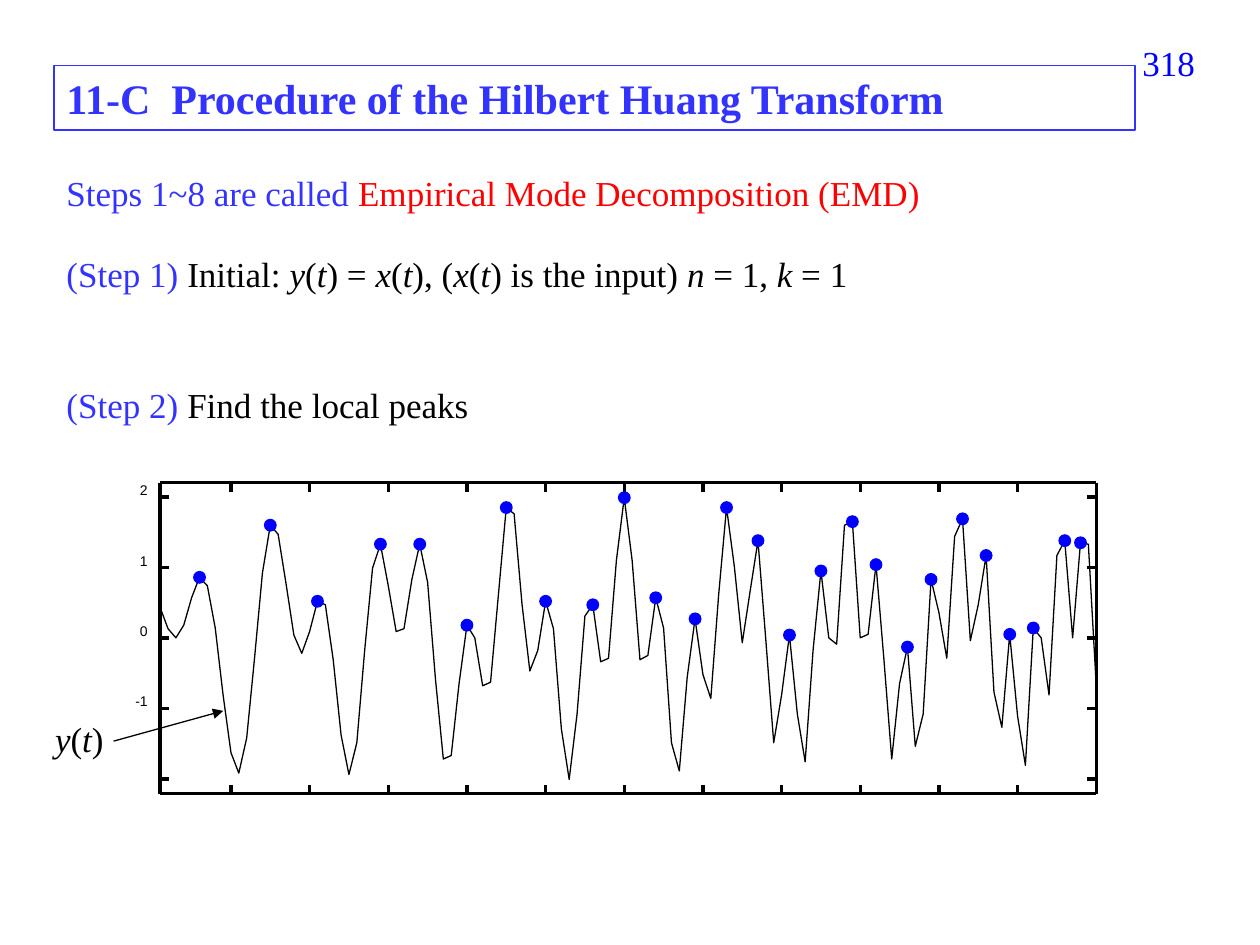
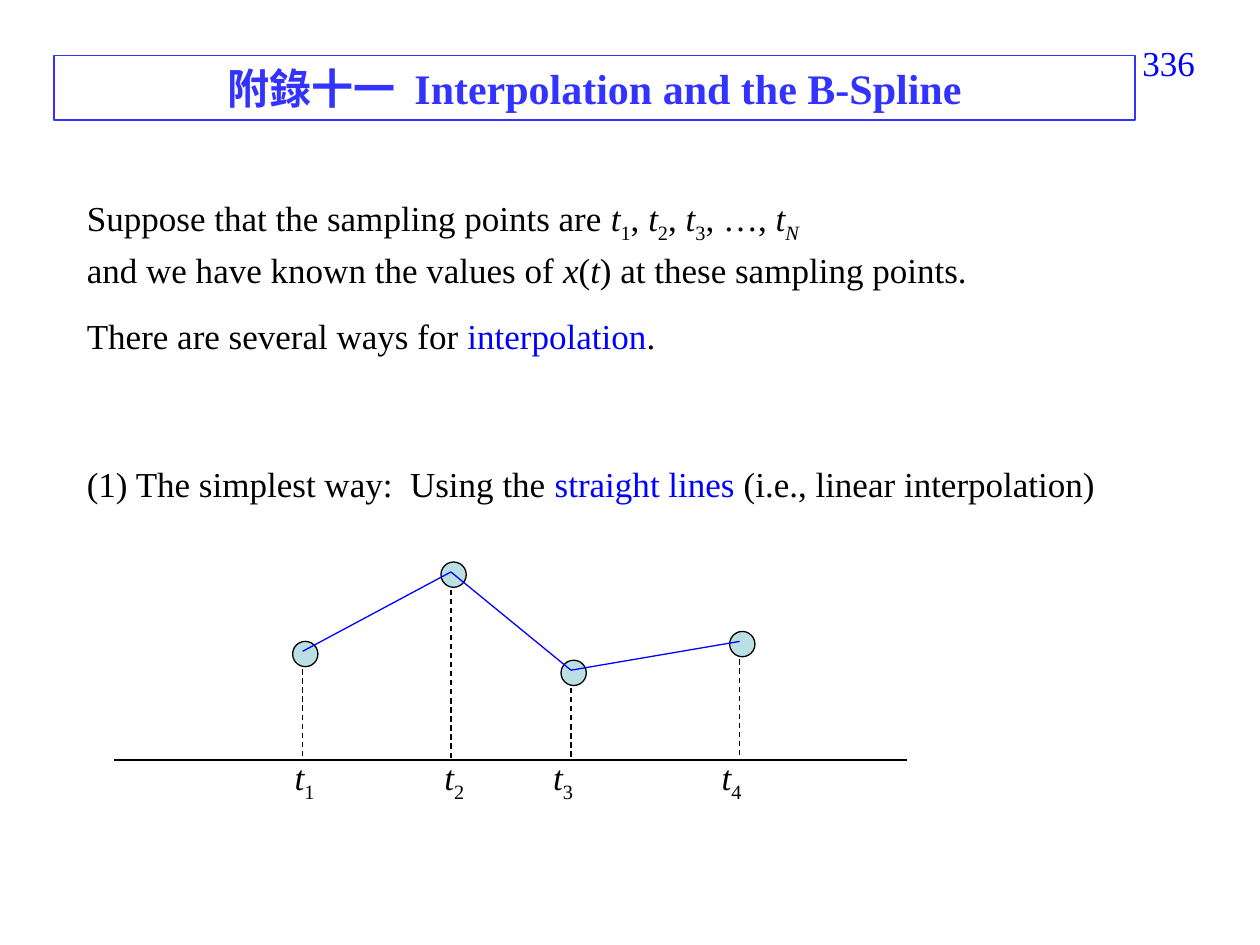
import lxml.etree
import pptx
import pptx.dml.color
import pptx.enum.dml
import pptx.enum.shapes
import pptx.enum.text
import pptx.oxml.ns
import pptx.util

Cm = pptx.util.Cm
Pt = pptx.util.Pt
RGBColor = pptx.dml.color.RGBColor
qn = pptx.oxml.ns.qn
ALIGN = pptx.enum.text.PP_ALIGN
ANCHOR = pptx.enum.text.MSO_ANCHOR
SHAPE = pptx.enum.shapes.MSO_SHAPE

INDIGO = RGBColor(0x33, 0x33, 0xFF)
BLUE = RGBColor(0x00, 0x00, 0xFF)
RED = RGBColor(0xFF, 0x00, 0x00)
BLACK = RGBColor(0x00, 0x00, 0x00)
PALE_TEAL = RGBColor(0xBB, 0xE0, 0xE3)

SERIF = "Times New Roman"
SANS = "Arial"
HAIRLINE = 0
THIN = 0.75

# Samples of y(t), ten per row
SIGNAL = [
    0.43, 0.13, 0, 0.18, 0.57, 0.86, 0.74, 0.14, -0.81, -1.63,
    -1.92, -1.42, -0.29, 0.92, 1.6, 1.47, 0.77, 0.04, -0.22, 0.09,
    0.52, 0.47, -0.31, -1.38, -1.94, -1.49, -0.18, 0.99, 1.33, 0.74,
    0.09, 0.13, 0.83, 1.33, 0.79, -0.59, -1.72, -1.67, -0.65, 0.18,
    0, -0.68, -0.63, 0.61, 1.85, 1.76, 0.48, -0.47, -0.18, 0.52,
    0.13, -1.29, -2.01, -1.08, 0.31, 0.47, -0.34, -0.29, 1.1, 1.99,
    1.1, -0.31, -0.25, 0.57, 0.14, -1.49, -1.89, -0.56, 0.27, -0.52,
    -0.86, 0.61, 1.85, 1.01, -0.07, 0.66, 1.38, -0.04, -1.49, -0.81,
    0.04, -1.08, -1.76, -0.18, 0.95, 0, -0.09, 1.6, 1.65, 0,
    0.05, 1.04, -0.29, -1.72, -0.65, -0.13, -1.54, -1.08, 0.83, 0.36,
    -0.29, 1.44, 1.69, -0.04, 0.47, 1.17, -0.77, -1.27, 0.05, -1.11,
    -1.81, 0.14, 0, -0.81, 1.17, 1.38, 0, 1.35, 1.33, -0.68,
]


def set_all(target, values):
    for name, value in values.items():
        setattr(target, name, value)


def italic(text):
    return text, {"italic": True}


def sub(text, **style):
    return text, {"baseline": -25000, **style}


def colored(text, color):
    return text, {"color": color}


class Deck:
    """Holds the presentation, the text style and the current slide."""

    style = {"name": SERIF, "size": Pt(20), "bold": False, "italic": False}

    def __init__(self):
        self.prs = pptx.Presentation()
        set_all(self.prs, {"slide_width": Cm(25.4), "slide_height": Cm(19.05)})

    def new_slide(self, number, title, top, align):
        self.s = self.prs.slides.add_slide(self.prs.slide_layouts[1])
        sp = self.s.shapes.title
        self.place(sp, 1.09, top, 21.79, 1.3)
        sp.line.width = Pt(THIN)
        sp.line.color.rgb = INDIGO
        self.frame(sp.text_frame, ANCHOR.MIDDLE)
        self.fill_paragraph(sp.text_frame.paragraphs[0], [colored(title, INDIGO)],
                            {"alignment": align}, {"size": Pt(24), "bold": True})
        self.text([colored(number, BLUE)], 22.1, 0.71, 2.24, 1.32, ALIGN.RIGHT)

    def place(self, sp, left, top, width, height):
        set_all(sp, {"left": Cm(left), "top": Cm(top),
                     "width": Cm(width), "height": Cm(height)})

    def frame(self, tf, anchor=ANCHOR.TOP, side=0.25, edge=0.13):
        set_all(tf, {"word_wrap": True, "vertical_anchor": anchor,
                     "auto_size": pptx.enum.text.MSO_AUTO_SIZE.NONE,
                     "margin_left": Cm(side), "margin_right": Cm(side),
                     "margin_top": Cm(edge), "margin_bottom": Cm(edge)})

    def fill_paragraph(self, p, runs, layout, font=None):
        """Add runs, each text or (text, style); "\\n" breaks the line."""
        set_all(p, {"space_before": Pt(0), "line_spacing": 1.0, **layout})
        for run in runs:
            if run == "\n":
                p.add_line_break()
                continue
            text, extra = run if isinstance(run, tuple) else (run, {})
            style = {**self.style, **(font or {}), **extra}
            color = style.pop("color", BLACK)
            baseline = style.pop("baseline", None)
            r = p.add_run()
            r.text = text
            set_all(r.font, style)
            r.font.color.rgb = color
            if baseline:
                r._r.get_or_add_rPr().set("baseline", str(baseline))

    def body(self, box, paragraphs):
        """Fill the body placeholder with (runs, layout) paragraphs, no bullets."""
        sp = self.s.placeholders[1]
        self.place(sp, *box)
        tf = sp.text_frame
        self.frame(tf)
        for i, (runs, layout) in enumerate(paragraphs):
            p = tf.add_paragraph() if i else tf.paragraphs[0]
            self.fill_paragraph(p, runs, layout)
            pPr = p._p.get_or_add_pPr()
            pPr.set("marL", "0")
            pPr.set("indent", "0")
            lxml.etree.SubElement(pPr, qn("a:buNone"))

    def text(self, runs, left, top, width, height, align=ALIGN.LEFT,
             font=None, **margins):
        sp = self.s.shapes.add_textbox(Cm(left), Cm(top), Cm(width), Cm(height))
        self.frame(sp.text_frame, **margins)
        self.fill_paragraph(sp.text_frame.paragraphs[0], runs,
                            {"alignment": align}, font)

    def line(self, start, end, color=BLACK, width=THIN, dash=False, arrow=False):
        c = self.s.shapes.add_connector(
            pptx.enum.shapes.MSO_CONNECTOR.STRAIGHT,
            *(Cm(v) for v in (*start, *end)))
        c.line.color.rgb = color
        c.line.width = Pt(width)
        if dash:
            c.line.dash_style = pptx.enum.dml.MSO_LINE.DASH
        if arrow:
            ln = c.line._get_or_add_ln()
            lxml.etree.SubElement(ln, qn("a:tailEnd"), type="triangle")
        lxml.etree.SubElement(c._element.spPr, qn("a:effectLst"))

    def dot(self, left, top, size, fill, outline=None):
        sp = self.s.shapes.add_shape(SHAPE.OVAL, Cm(left), Cm(top), Cm(size), Cm(size))
        sp.shadow.inherit = False
        sp.fill.solid()
        sp.fill.fore_color.rgb = fill
        if outline is None:
            sp.line.fill.background()
        else:
            sp.line.color.rgb = outline
            sp.line.width = Pt(THIN)

    def curve(self, points):
        (x0, y0), *rest = [(Cm(x), Cm(y)) for x, y in points]
        builder = self.s.shapes.build_freeform(x0, y0)
        builder.add_line_segments(rest, close=False)
        sp = builder.convert_to_shape()
        sp.shadow.inherit = False
        sp.fill.background()
        sp.line.color.rgb = BLACK
        sp.line.width = Pt(HAIRLINE)


def draw_signal_plot(deck):
    left, right, top, bottom = 3.23, 22.1, 9.73, 16.0
    zero, unit, tick, dot = 12.86, 1.42, 0.18, 0.26
    step = (right - left) / (len(SIGNAL) - 1)
    points = [(left + i * step, zero - v * unit) for i, v in enumerate(SIGNAL)]

    corners = [(left, top), (right, top), (right, bottom), (left, bottom)]
    for start, end in zip(corners, corners[1:] + corners[:1]):
        deck.line(start, end, width=HAIRLINE)
    for x, _ in points[9:-1:10]:
        deck.line((x, bottom), (x, bottom - tick), width=HAIRLINE)
        deck.line((x, top), (x, top + tick), width=HAIRLINE)
    for value in range(-2, 3):
        y = zero - value * unit
        deck.line((left, y), (left + tick, y), width=HAIRLINE)
        deck.line((right, y), (right - tick, y), width=HAIRLINE)
        if value > -2:
            deck.text([str(value)], 2.48, y - 0.31, 0.5, 0.33, ALIGN.RIGHT,
                      {"name": SANS, "size": Pt(8)}, side=0, edge=0)

    deck.curve(points)
    for i in range(1, len(SIGNAL) - 1):
        if SIGNAL[i - 1] < SIGNAL[i] > SIGNAL[i + 1]:
            x, y = points[i]
            deck.dot(x - dot / 2, y - dot / 2, dot, BLUE)


def hilbert_huang_slide(deck):
    deck.new_slide("318", "11-C  Procedure of the Hilbert Huang Transform",
                   1.32, ALIGN.LEFT)
    deck.body((1.09, 3.33, 19.4, 5.28), [
        ([colored("Steps 1~8 are called ", INDIGO),
          colored("Empirical Mode Decomposition (EMD)", RED)], {}),
        ([colored("(Step 1) ", INDIGO), "Initial: ", italic("y"), "(", italic("t"),
          ") = ", italic("x"), "(", italic("t"), "), (", italic("x"), "(",
          italic("t"), ") is the input) ", italic("n"), " = 1, ", italic("k"),
          " = 1"], {"space_before": Pt(22.4)}),
        ([colored("(Step 2) ", INDIGO), "Find the local peaks"],
         {"space_before": Pt(50.4)}),
    ])
    draw_signal_plot(deck)
    deck.line((2.29, 14.94), (4.5, 14.33), arrow=True)
    deck.text([italic("y"), "(", italic("t"), ")"], 0.86, 14.33, 2, 1.09)


def interpolation_slide(deck):
    deck.new_slide("336", "附錄十一  Interpolation and the B-Spline",
                   1.12, ALIGN.CENTER)
    sampling_points = []
    for n in "123":
        sampling_points += [italic("t"), sub(n), ", "]
    sampling_points[-1] = ", …, "
    deck.body((1.5, 3.73, 21.41, 6.48), [
        (["Suppose that the sampling points are ", *sampling_points, italic("t"),
          sub("N", italic=True), "\n", "and we have known the values of ",
          italic("x"), "(", italic("t"), ") at these sampling points."],
         {"line_spacing": 1.1}),
        (["There are several ways for ", colored("interpolation", BLUE), "."],
         {"line_spacing": 1.1, "space_before": Pt(11.3)}),
        (["(1) The simplest way:  Using the ", colored("straight lines ", BLUE),
          "(i.e., linear interpolation)"], {"space_before": Pt(61)}),
    ])

    axis = 15.32
    samples = [(6.1, 13.13), (9.09, 11.53), (11.51, 13.51), (14.91, 12.93)]
    label_lefts = [5.69, 8.71, 10.9, 14.3]
    deck.line((2.29, axis), (18.29, axis))
    for x, y in samples:
        deck.line((x, y), (x, axis), dash=True)
    for x, y in samples:
        deck.dot(x - 0.2, y - 0.2, 0.51, PALE_TEAL, BLACK)
    for start, end in zip(samples, samples[1:]):
        deck.line(start, end, BLUE)
    for n, left in enumerate(label_lefts, 1):
        deck.text([italic("t"), sub(str(n))], left, 15.11, 1.8, 1.09)


def main():
    deck = Deck()
    hilbert_huang_slide(deck)
    interpolation_slide(deck)
    deck.prs.save("out.pptx")


if __name__ == "__main__":
    main()
